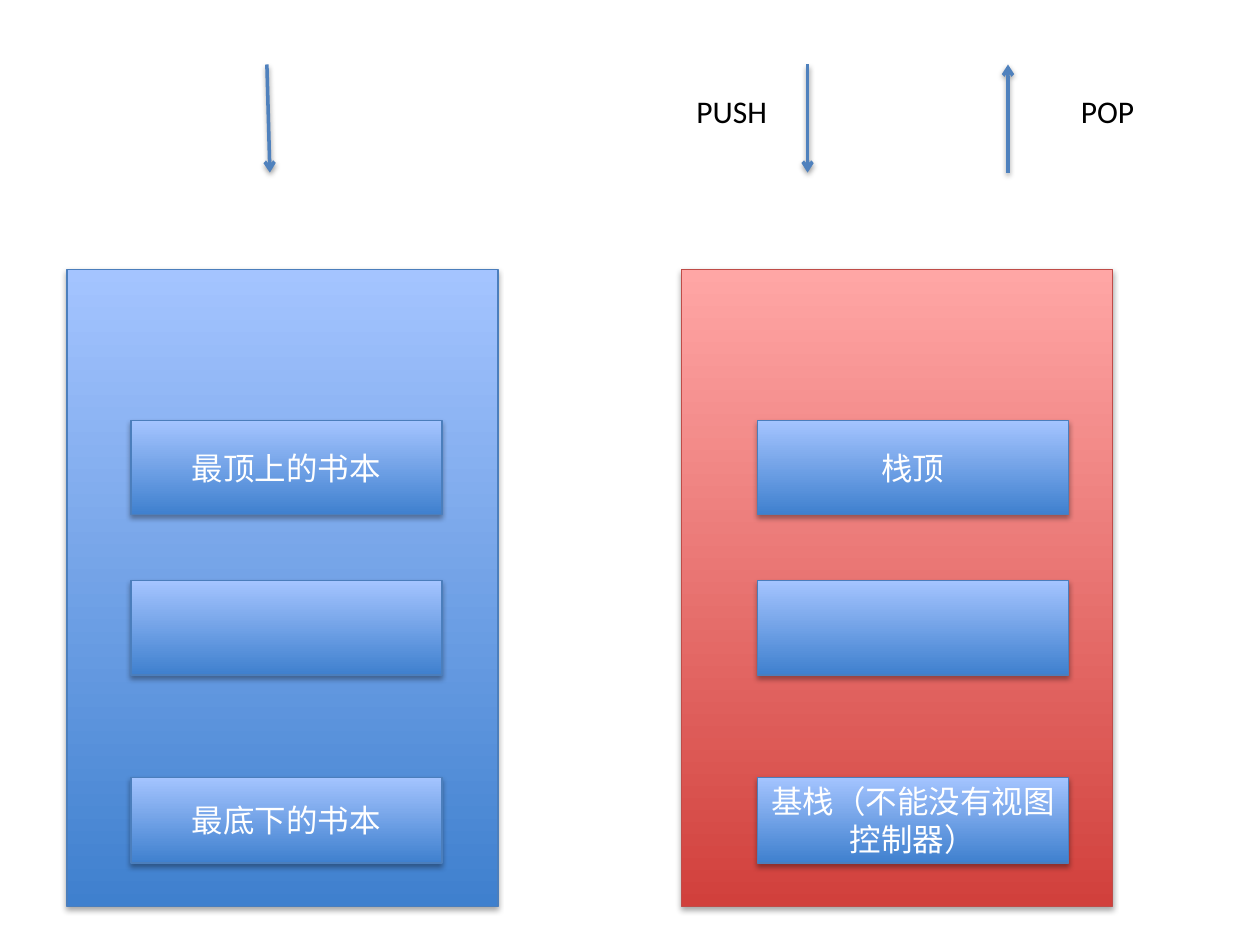
from lxml.etree import SubElement
from pptx import Presentation
from pptx.dml.color import RGBColor
from pptx.enum.shapes import MSO_CONNECTOR as LINE, MSO_SHAPE as SHAPE
from pptx.enum.text import MSO_ANCHOR as ANCHOR, PP_ALIGN as ALIGN
from pptx.oxml.ns import qn
from pptx.util import Cm, Pt

BLUE = ("3F80CE", "A4C4FF", "4B7EBC")  # bottom, top, outline
RED = ("D1403C", "FFA6A5", "BF4C48")


def rgb(value):
    return RGBColor.from_string(value)


def write(tf, text, color="000000", size=18, font="Calibri",
          align=ALIGN.LEFT, anchor=ANCHOR.TOP):
    tf.word_wrap = True
    tf.vertical_anchor = anchor
    p = tf.paragraphs[0]
    p.alignment = align
    r = p.add_run()
    r.text = text
    r.font.name, r.font.size = font, Pt(size)
    r.font.color.rgb = rgb(color)


def add_shadow(effects, distance, opacity):
    shadow = SubElement(effects, qn("a:outerShdw"), blurRad=str(Pt(3.1)),
                        dist=str(Pt(distance)), dir="5400000", rotWithShape="0")
    color = SubElement(shadow, qn("a:srgbClr"), val="000000")
    SubElement(color, qn("a:alpha"), val=str(opacity * 1000))


class StackSlide:
    arrow_color = "4F81BD"
    text_color = "FFFFFF"

    def __init__(self, prs):
        self.shapes = prs.slides.add_slide(prs.slide_layouts[6]).shapes

    def box(self, x, y, w, h, colors, text=""):
        sp = self.shapes.add_shape(SHAPE.RECTANGLE, Cm(x), Cm(y), Cm(w), Cm(h))
        bottom, top, outline = colors
        sp.fill.gradient()
        sp.fill.gradient_angle = 90
        for stop, color in zip(sp.fill.gradient_stops, (bottom, top)):
            stop.color.rgb = rgb(color)
        sp.line.color.rgb = rgb(outline)
        sp.line.width = Pt(0.75)
        sp.shadow.inherit = False
        add_shadow(sp._element.spPr.find(qn("a:effectLst")), 1.8, 35)
        if text:
            write(sp.text_frame, text, color=self.text_color,
                  align=ALIGN.CENTER, anchor=ANCHOR.MIDDLE)

    def arrow(self, x1, y1, x2, y2):
        c = self.shapes.add_connector(LINE.STRAIGHT, Cm(x1), Cm(y1), Cm(x2), Cm(y2))
        c.line.color.rgb = rgb(self.arrow_color)
        c.line.width = Pt(2)
        SubElement(c.line._get_or_add_ln(), qn("a:tailEnd"), type="arrow")
        add_shadow(SubElement(c._element.spPr, qn("a:effectLst")), 1.6, 38)

    def label(self, x, y, w, h, text):
        tb = self.shapes.add_textbox(Cm(x), Cm(y), Cm(w), Cm(h))
        write(tb.text_frame, text)


prs = Presentation()
prs.slide_width, prs.slide_height = Cm(25.4), Cm(19.05)
s = StackSlide(prs)

# Two stacks: books on the left, view controllers on the right
rows = [(8.48, 1.9), (11.71, 1.9), (15.67, 1.73)]
stacks = [
    (1.35, 2.64, BLUE, ["最顶上的书本", "", "最底下的书本"]),
    (13.74, 15.27, RED, ["栈顶", "", "基栈（不能没有视图控制器）"]),
]
for panel_x, item_x, colors, items in stacks:
    s.box(panel_x, 5.44, 8.69, 12.83, colors)
    for (y, h), text in zip(rows, items):
        s.box(item_x, y, 6.27, h, BLUE, text)

# Arrows into and out of the stacks
high, low = 1.3, 3.48
s.arrow(5.38, high, 5.44, low)
s.arrow(16.28, high, 16.28, low)
s.arrow(20.32, low, 20.32, high)

# Operation names
s.label(13.79, 1.73, 2.79, 1.02, "PUSH")
s.label(21.54, 1.73, 2.31, 1.02, "POP")

prs.save("out.pptx")
